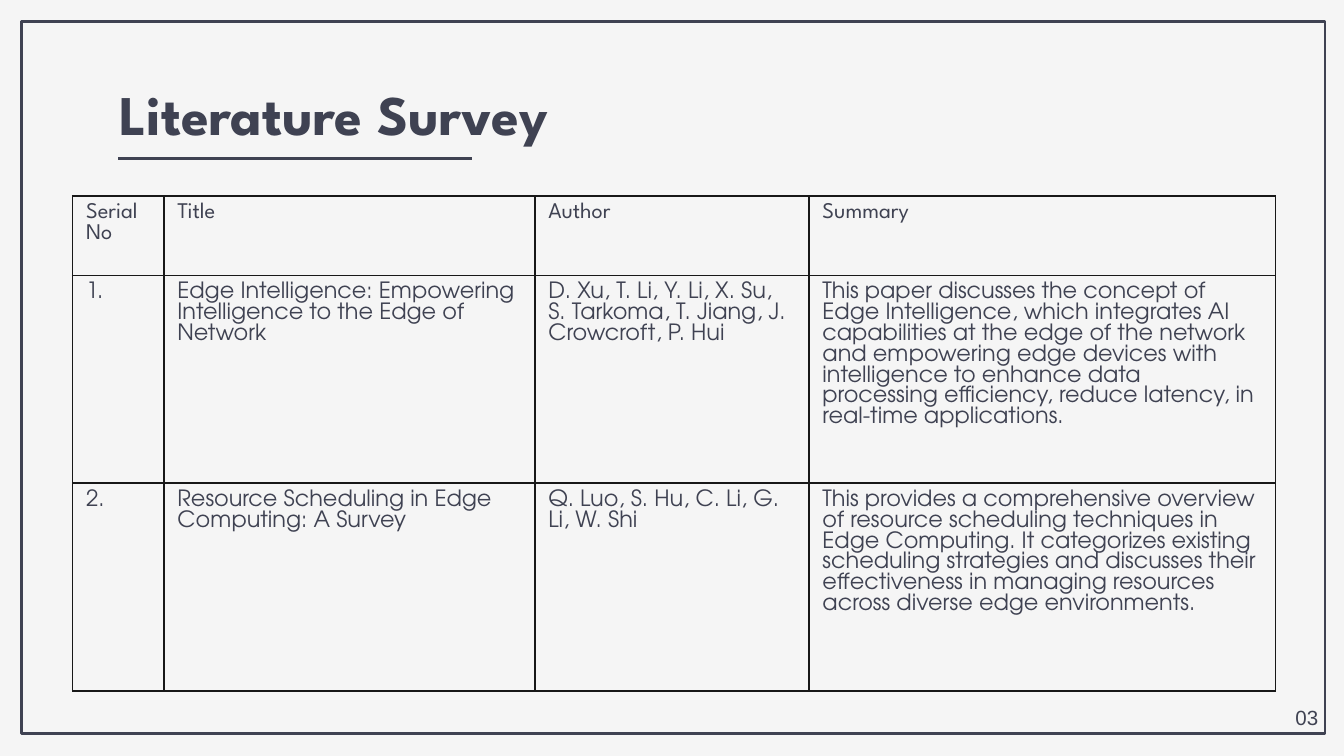
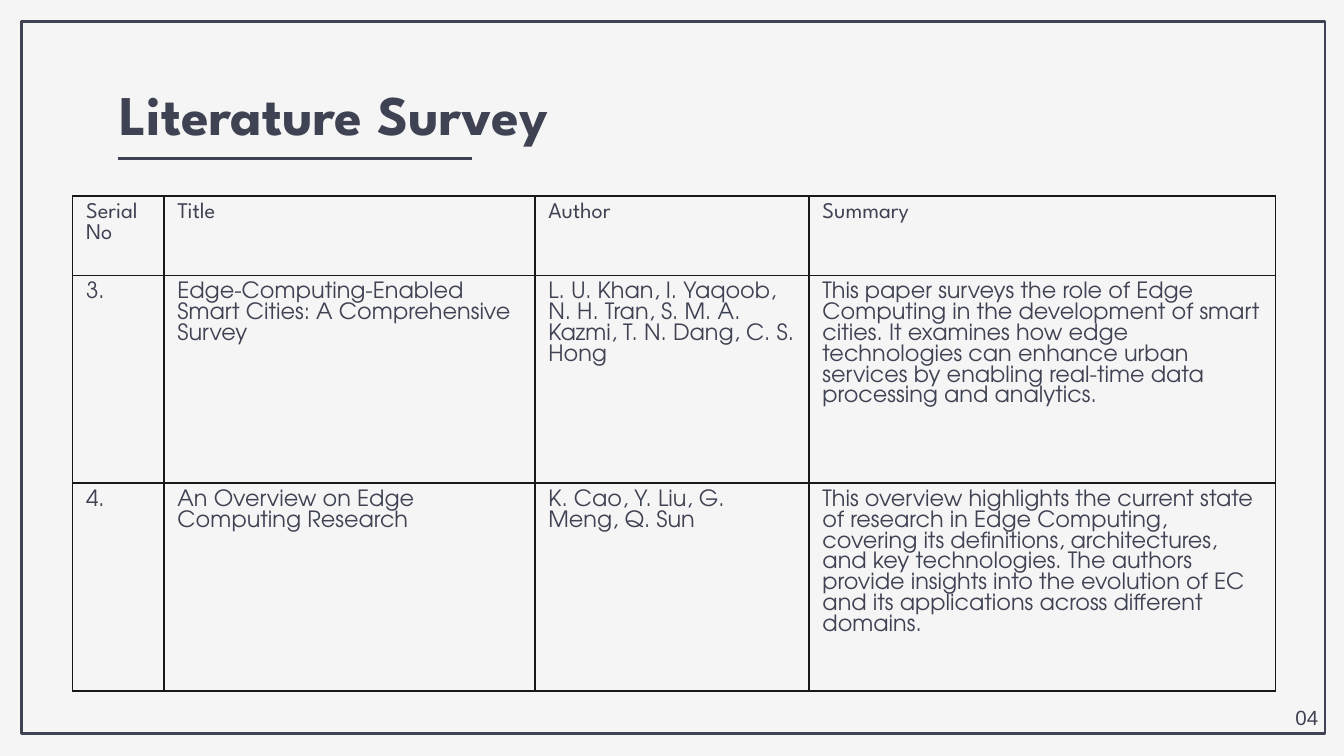
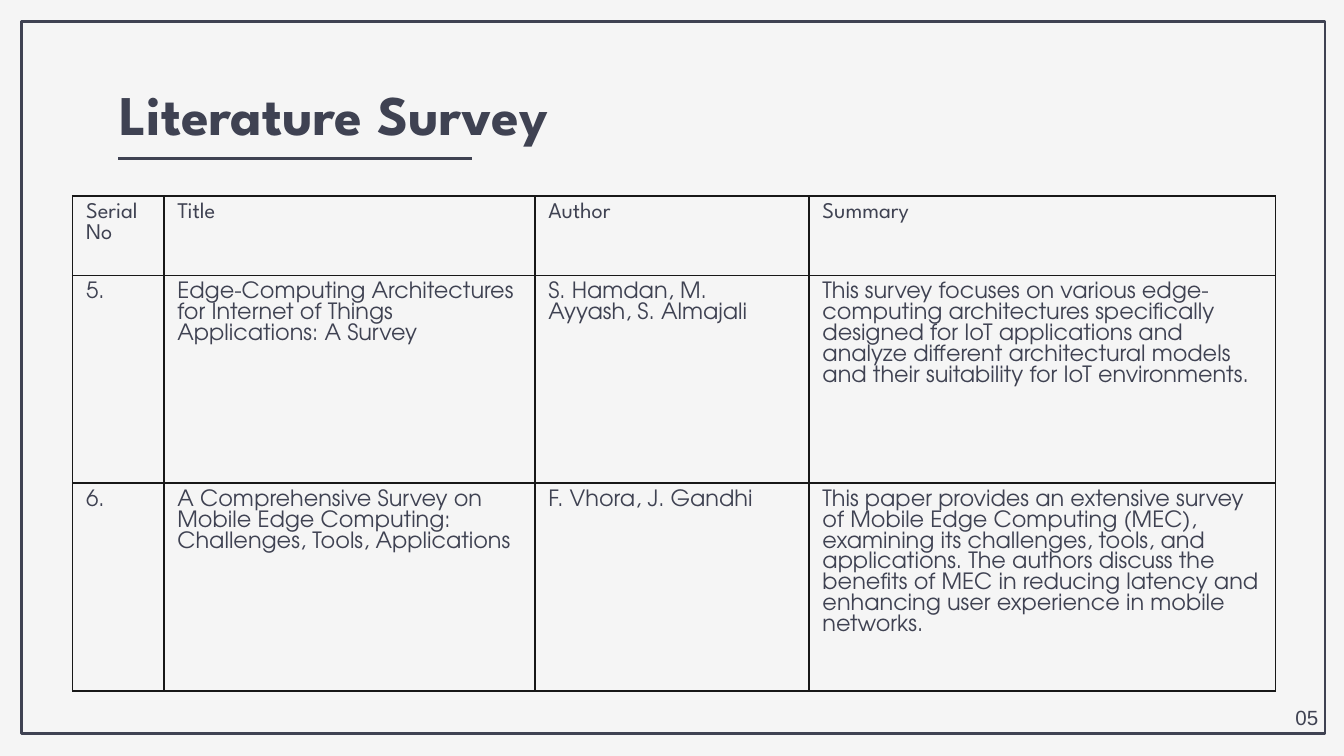
"""Build the three literature survey slides."""
from lxml import etree
from pptx import Presentation
from pptx.dml.color import RGBColor
from pptx.enum import shapes, text
from pptx.oxml import ns
from pptx.util import Inches, Pt

INK = RGBColor(0x3F, 0x42, 0x52)
PAPER = RGBColor(0xF5, 0xF5, 0xF5)
GRID = RGBColor(0x18, 0x18, 0x18)

TITLE = "Literature Survey"
HEADINGS = ("Serial No", "Title", "Author", "Summary")
FIRST_PAGE = 3
PAPERS_PER_PAGE = 2
PAPERS = [
    ("Edge Intelligence: Empowering Intelligence to the Edge of Network",
     "D. Xu, T. Li, Y. Li, X. Su, S. Tarkoma, T. Jiang, J. Crowcroft, P. Hui",
     "This paper discusses the concept of Edge Intelligence, which integrates AI "
     "capabilities at the edge of the network and empowering edge devices with "
     "intelligence to enhance data processing efficiency, reduce latency, in "
     "real-time applications."),
    ("Resource Scheduling in Edge Computing: A Survey",
     "Q. Luo, S. Hu, C. Li, G. Li, W. Shi",
     "This provides a comprehensive overview of resource scheduling techniques in "
     "Edge Computing. It categorizes existing scheduling strategies and discusses "
     "their effectiveness in managing resources across diverse edge environments."),
    ("Edge-Computing-Enabled Smart Cities: A Comprehensive Survey",
     "L. U. Khan, I. Yaqoob, N. H. Tran, S. M. A. Kazmi, T. N. Dang, C. S. Hong",
     "This paper surveys the role of Edge Computing in the development of smart "
     "cities. It examines how edge technologies can enhance urban services by "
     "enabling real-time data processing and analytics."),
    ("An Overview on Edge Computing Research",
     "K. Cao, Y. Liu, G. Meng, Q. Sun",
     "This overview highlights the current state of research in Edge Computing, "
     "covering its definitions, architectures, and key technologies. The authors "
     "provide insights into the evolution of EC and its applications across "
     "different domains."),
    ("Edge-Computing Architectures for Internet of Things Applications: A Survey",
     "S. Hamdan, M. Ayyash, S. Almajali",
     "This survey focuses on various edge-computing architectures specifically "
     "designed for IoT applications and analyze different architectural models "
     "and their suitability for IoT environments."),
    ("A Comprehensive Survey on Mobile Edge Computing: Challenges, Tools, Applications",
     "F. Vhora, J. Gandhi",
     "This paper provides an extensive survey of Mobile Edge Computing (MEC), "
     "examining its challenges, tools, and applications. The authors discuss the "
     "benefits of MEC in reducing latency and enhancing user experience in mobile "
     "networks."),
]

COLUMN_WIDTHS = (0.68, 2.76, 2.04, 3.47)
TABLE_HEIGHT = 3.68
HEADING_HEIGHT = 0.59
PAPER_HEIGHT = (TABLE_HEIGHT - HEADING_HEIGHT) / PAPERS_PER_PAGE
ROW_HEIGHTS = (HEADING_HEIGHT, *[PAPER_HEIGHT] * PAPERS_PER_PAGE)
TITLE_FONT = {"name": "League Spartan", "size": Pt(30), "bold": True}
HEADING_FONT = {"name": "League Spartan", "size": Pt(12), "bold": False}
BODY_FONT = {"name": "TeX Gyre Adventor", "size": Pt(12), "bold": False}
PAGE_FONT = {"name": "Arial", "size": Pt(11)}
TITLE_FRAME = {f"margin_{side}": Inches(0.1) for side in ("left", "top", "right", "bottom")}
PAGE_FRAME = {"auto_size": text.MSO_AUTO_SIZE.SHAPE_TO_FIT_TEXT}


def set_all(target, values):
    """Set every attribute named in a dict."""
    for name, value in values.items():
        setattr(target, name, value)


def write(frame, words, font):
    """Put one styled run into a text frame."""
    span = frame.paragraphs[0].add_run()
    span.text = words
    set_all(span.font, font)
    span.font.color.rgb = INK


def add_text(page, place, words, font, frame_values):
    """Add a wrapped text box."""
    frame = page.shapes.add_textbox(*map(Inches, place)).text_frame
    frame.word_wrap = True
    set_all(frame, frame_values)
    write(frame, words, font)


def add_frame(page):
    """Draw the outline around the page."""
    frame = page.shapes.add_shape(
        shapes.MSO_SHAPE.RECTANGLE, *map(Inches, (0.16, 0.16, 9.7, 5.3)))
    frame.shadow.inherit = False
    frame.fill.background()
    frame.line.color.rgb = INK
    frame.line.width = Pt(1.5)


def add_title_rule(page):
    """Draw the line under the title."""
    rule = page.shapes.add_connector(
        shapes.MSO_CONNECTOR.STRAIGHT, *map(Inches, (0.88, 1.18, 3.51, 1.18)))
    rule.line.color.rgb = INK
    rule.line.width = Pt(1.42)
    etree.SubElement(rule._element.spPr, ns.qn("a:effectLst"))


def add_borders(cell):
    """Rule all four sides of a table cell."""
    properties = cell._tc.get_or_add_tcPr()
    for position, side in enumerate(("lnL", "lnR", "lnT", "lnB")):
        border = etree.Element(ns.qn(f"a:{side}"), w=str(int(Pt(0.96))))
        fill = etree.SubElement(border, ns.qn("a:solidFill"))
        etree.SubElement(fill, ns.qn("a:srgbClr"), val=str(GRID))
        properties.insert(position, border)


def add_survey_table(page, rows):
    """Add the table of surveyed papers."""
    table = page.shapes.add_table(
        len(rows), len(HEADINGS),
        *map(Inches, (0.54, 1.46, sum(COLUMN_WIDTHS), TABLE_HEIGHT))).table
    set_all(table, {"first_row": False, "horz_banding": False})
    for column, width in zip(table.columns, COLUMN_WIDTHS):
        column.width = Inches(width)
    for row, height, entries in zip(table.rows, ROW_HEIGHTS, rows):
        row.height = Inches(height)
        font = HEADING_FONT if entries is HEADINGS else BODY_FONT
        for cell, words in zip(row.cells, entries):
            cell.fill.background()
            add_borders(cell)
            write(cell.text_frame, words, font)


def main():
    """Build and save the deck."""
    deck = Presentation()
    deck.slide_width = Inches(10)
    deck.slide_height = deck.slide_width * 9 // 16
    entries = [(f"{serial}.", *paper) for serial, paper in enumerate(PAPERS, 1)]
    starts = range(0, len(entries), PAPERS_PER_PAGE)
    for number, start in enumerate(starts, FIRST_PAGE):
        page = deck.slides.add_slide(deck.slide_layouts[6])
        page.background.fill.solid()
        page.background.fill.fore_color.rgb = PAPER
        add_frame(page)
        add_survey_table(page, [HEADINGS, *entries[start:start + PAPERS_PER_PAGE]])
        add_text(page, (0.79, 0.49, 6.64, 0.63), TITLE, TITLE_FONT, TITLE_FRAME)
        add_title_rule(page)
        add_text(page, (9.54, 5.2, 0.46, 0.29), f"{number:02}", PAGE_FONT, PAGE_FRAME)
    deck.save("out.pptx")


if __name__ == "__main__":
    main()
